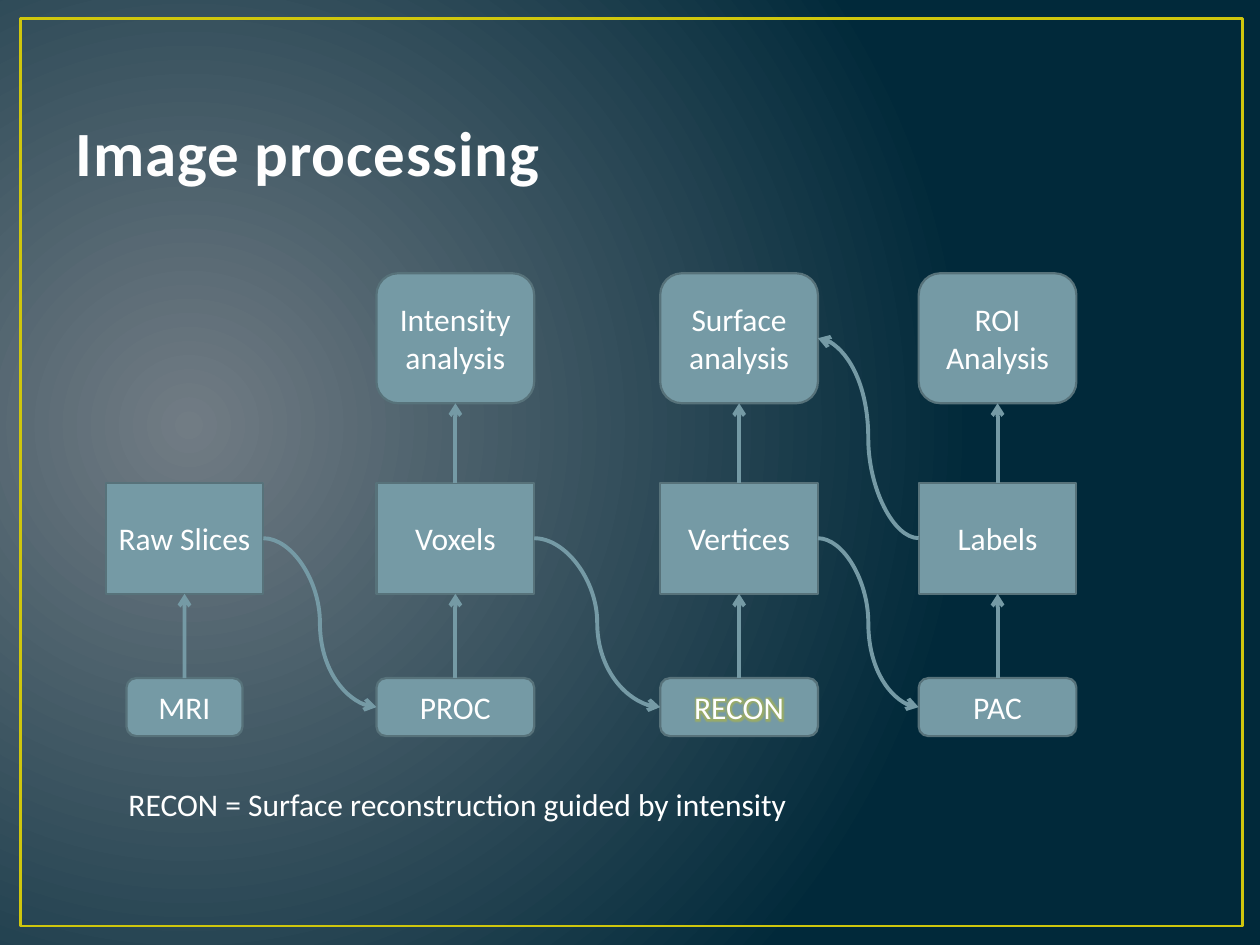
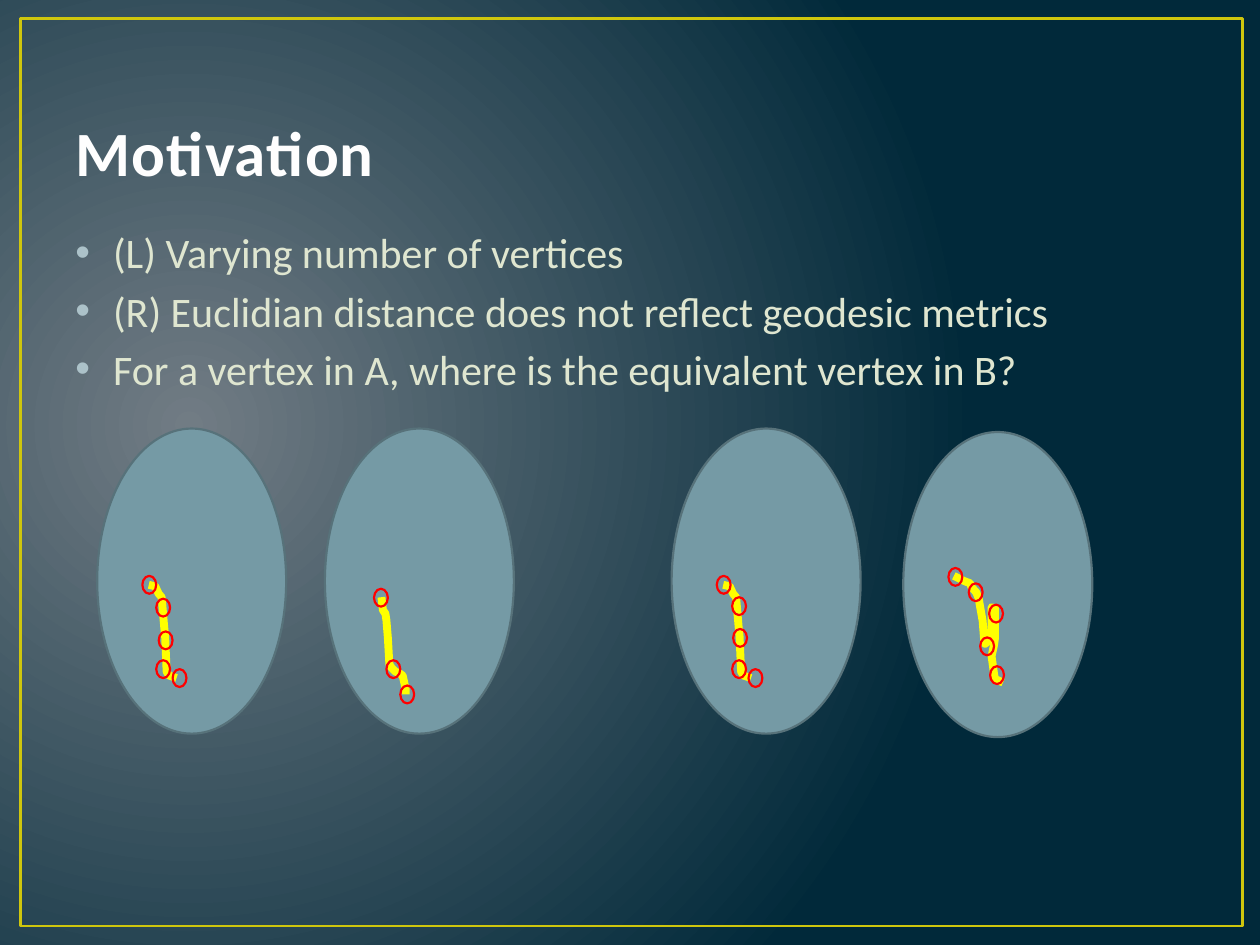
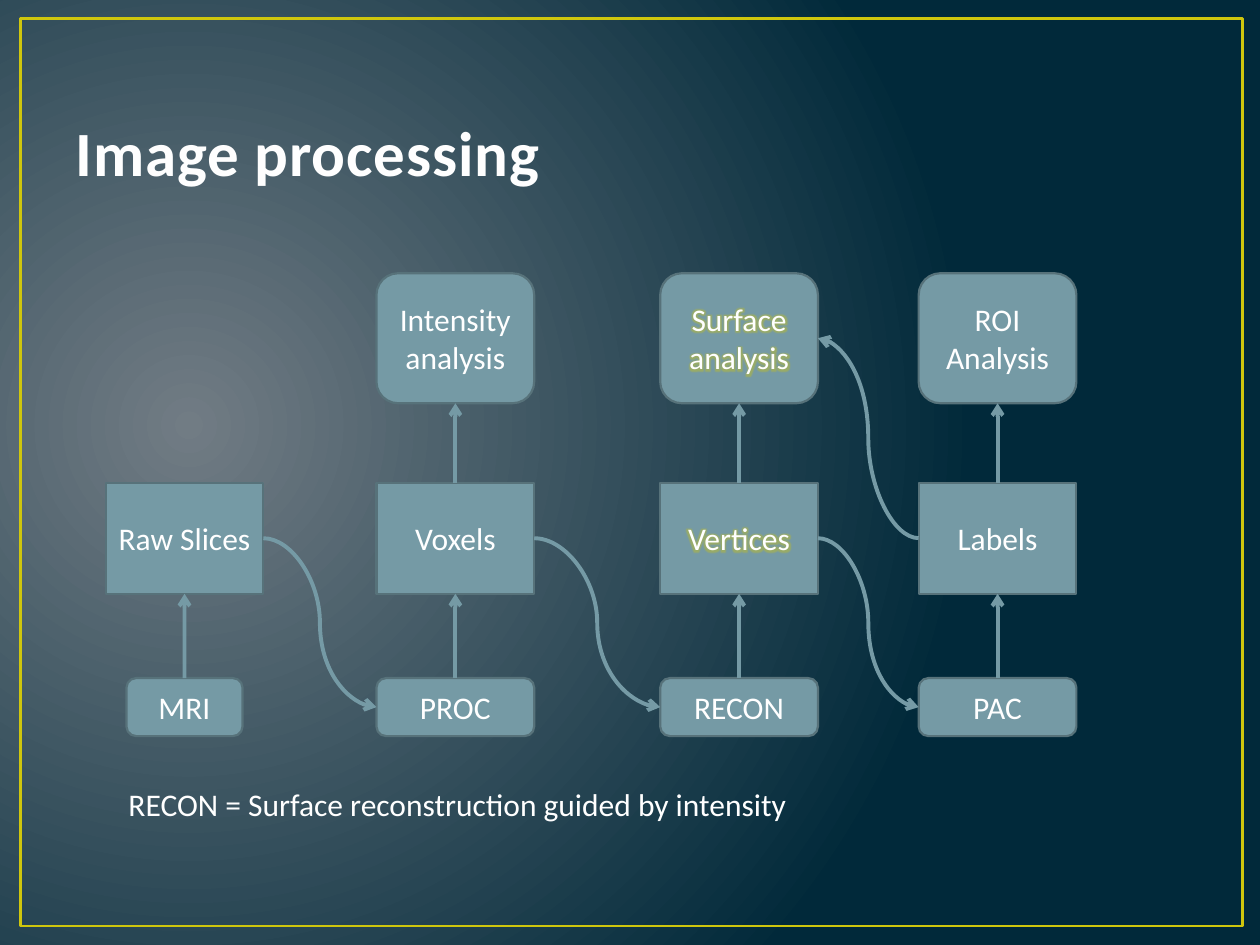
from lxml import etree
from pptx import Presentation
from pptx import util as u
from pptx.dml.color import RGBColor
from pptx.enum import shapes, text
from pptx.oxml.ns import qn

NIGHT = RGBColor(0x01, 0x29, 0x3A)
MIST = RGBColor(0x71, 0x7C, 0x84)
GOLD = RGBColor(0xCF, 0xC6, 0x0D)
STEEL = RGBColor(0x75, 0x9A, 0xA5)
STEEL_EDGE = RGBColor(0x57, 0x72, 0x7A)
TITLE_WHITE = RGBColor(0xFE, 0xFE, 0xFE)
TITLE_EDGE = RGBColor(0x38, 0x4F, 0x55)
WHITE = RGBColor(0xFF, 0xFF, 0xFF)
CREAM = RGBColor(0xDF, 0xE6, 0xD0)
BULLET = RGBColor(0xAC, 0xC2, 0xC9)
YELLOW = RGBColor(0xFF, 0xFF, 0x00)
RED = RGBColor(0xFF, 0x00, 0x00)

RECT = shapes.MSO_SHAPE.RECTANGLE
ROUNDED = shapes.MSO_SHAPE.FLOWCHART_ALTERNATE_PROCESS
OVAL = shapes.MSO_SHAPE.OVAL
STRAIGHT = shapes.MSO_CONNECTOR.STRAIGHT
CURVE = shapes.MSO_CONNECTOR.CURVE
TOP, LEFT, BOTTOM, RIGHT = range(4)

COLUMN_LEFTS = (2.13, 7.59, 13.31, 18.52)
BOX_WIDTH = 3.18
MRI_WIDTH = 2.34
ANALYSIS_ROW, DATA_ROW, TOOL_ROW = (5.51, 2.62), (9.73, 2.24), (13.67, 1.17)
STAGES = (
    ("MRI", "Raw Slices", None),
    ("PROC", "Voxels", "Intensity\nanalysis"),
    ("RECON", "Vertices", "Surface\nanalysis"),
    ("PAC", "Labels", "ROI\nAnalysis"),
)

BRAIN_SIZE = (3.81, 6.15)
RING_SIZE = (0.28, 0.36)
SMOOTH_SULCUS = (
    (1.04, 3.15), (1.17, 3.18), (1.24, 3.33), (1.3, 3.4), (1.35, 3.99),
    (1.37, 4.19), (1.4, 4.9), (1.45, 4.98), (1.6, 5.03))
SHORT_SULCUS = (
    (1.14, 3.4), (1.17, 3.66), (1.22, 3.73), (1.24, 3.86), (1.27, 4.22),
    (1.3, 4.75), (1.35, 4.83), (1.42, 4.9), (1.5, 4.93), (1.57, 4.98),
    (1.63, 5.26), (1.63, 5.36))
FOLDED_SULCUS = (
    (1.02, 2.9), (1.22, 3), (1.27, 3.02), (1.35, 3.05), (1.37, 3.12),
    (1.47, 3.23), (1.52, 3.35), (1.55, 3.53), (1.6, 3.81), (1.63, 4.19),
    (1.65, 4.27), (1.7, 4.22), (1.75, 4.09), (1.78, 4.01), (1.78, 3.53),
    (1.85, 3.56), (1.85, 4.14), (1.83, 4.29), (1.78, 4.52), (1.83, 4.88),
    (1.85, 4.98), (1.9, 5), (2.01, 5.05))
BRAINS = (
    (1.96, 8.64, SMOOTH_SULCUS,
     ((0.91, 2.97), (1.19, 3.43), (1.24, 4.09), (1.19, 4.67), (1.52, 4.85))),
    (6.55, 8.64, SHORT_SULCUS,
     ((0.99, 3.23), (1.24, 4.67), (1.52, 5.18))),
    (13.54, 8.64, SMOOTH_SULCUS,
     ((0.91, 2.97), (1.22, 3.4), (1.24, 4.04), (1.22, 4.67), (1.55, 4.85))),
    (18.21, 8.71, FOLDED_SULCUS,
     ((0.91, 2.74), (1.55, 4.14), (1.73, 3.48), (1.75, 4.72), (1.32, 3.05))),
)


def cm(*values):
    return [u.Cm(value) for value in values]


def add_color(parent, color):
    return etree.SubElement(parent, qn("a:srgbClr"), val=str(color))


class Deck:
    font = "Calibri"

    def __init__(self):
        self.prs = Presentation()
        self.prs.slide_width, self.prs.slide_height = cm(25.4, 19.05)
        self.slide = None
        self.paint_background()

    def paint_background(self):
        master = self.prs.slide_master
        fill = master.background.fill
        fill.gradient()
        for stop, color in zip(fill.gradient_stops, (MIST, NIGHT)):
            stop.color.rgb = color
        gradient = master.element.find(".//" + qn("a:gradFill"))
        gradient.remove(gradient.find(qn("a:lin")))
        circle = etree.SubElement(gradient, qn("a:path"), path="circle")
        etree.SubElement(circle, qn("a:fillToRect"),
                         l="15000", t="50000", r="85000", b="60000")

    def new_slide(self, heading):
        self.slide = self.prs.slides.add_slide(self.prs.slide_layouts[5])
        self.shape(RECT, 0.41, 0.38, 24.64, 18.29, None, GOLD, 1.5)
        title = self.slide.shapes.title
        title.left, title.top, title.width, title.height = cm(1.27, 0.76, 22.86, 3.18)
        title.text_frame.text = heading
        title.text_frame.vertical_anchor = text.MSO_ANCHOR.BOTTOM
        self.style(title.text_frame, 36, TITLE_WHITE, text.PP_ALIGN.LEFT)
        run = title.text_frame.paragraphs[0].runs[0]
        run.font.bold = True
        properties = run.font._element
        properties.set("spc", "50")
        outline = etree.Element(qn("a:ln"), w=str(u.Pt(1.05)))
        add_color(etree.SubElement(outline, qn("a:solidFill")), TITLE_EDGE)
        properties.insert(0, outline)

    def style(self, frame, size, color, align):
        for paragraph in frame.paragraphs:
            paragraph.alignment = align
            for run in paragraph.runs:
                run.font.name = self.font
                run.font.size = u.Pt(size)
                run.font.color.rgb = color

    def outline(self, shape, fill, edge, weight):
        shape.shadow.inherit = False
        if fill is None:
            shape.fill.background()
        else:
            shape.fill.solid()
            shape.fill.fore_color.rgb = fill
        shape.line.color.rgb = edge
        shape.line.width = u.Pt(weight)
        return shape

    def shape(self, preset, left, top, width, height, fill=STEEL, edge=STEEL_EDGE, weight=1.25):
        shape = self.slide.shapes.add_shape(preset, *cm(left, top, width, height))
        return self.outline(shape, fill, edge, weight)

    def box(self, preset, label, left, row, width=BOX_WIDTH, glowing=False):
        top, height = row
        box = self.shape(preset, left, top, width, height)
        frame = box.text_frame
        frame.text = label
        frame.margin_left = frame.margin_right = 0
        frame.vertical_anchor = text.MSO_ANCHOR.MIDDLE
        self.style(frame, 18, WHITE, text.PP_ALIGN.CENTER)
        if glowing:
            self.glow(frame)
        return box

    def glow(self, frame):
        for paragraph in frame.paragraphs:
            for run in paragraph.runs:
                effects = etree.Element(qn("a:effectLst"))
                halo = etree.SubElement(effects, qn("a:glow"), rad=str(u.Pt(5)))
                etree.SubElement(add_color(halo, GOLD), qn("a:alpha"), val="40000")
                run.font._element.find(qn("a:solidFill")).addnext(effects)

    def arrow(self, kind, source, source_site, target, target_site):
        arrow = self.slide.shapes.add_connector(kind, 0, 0, 0, 0)
        arrow.begin_connect(source, source_site)
        arrow.end_connect(target, target_site)
        arrow.line.color.rgb = STEEL
        arrow.line.width = u.Pt(2.25)
        properties = arrow.element.spPr
        etree.SubElement(properties.find(qn("a:ln")), qn("a:tailEnd"), type="arrow")
        etree.SubElement(properties, qn("a:effectLst"))

    def text_box(self, content, left, top, width, height, size, color, wrap=True):
        frame = self.slide.shapes.add_textbox(*cm(left, top, width, height)).text_frame
        frame.word_wrap = wrap
        frame.text = content
        self.style(frame, size, color, text.PP_ALIGN.LEFT)
        return frame

    def bullets(self, items, left, top, width, height):
        frame = self.text_box("\n".join(items), left, top, width, height, 24, CREAM)
        for index, paragraph in enumerate(frame.paragraphs):
            properties = paragraph._p.get_or_add_pPr()
            properties.set("marL", str(u.Cm(0.76)))
            properties.set("indent", str(-u.Cm(0.76)))
            add_color(etree.SubElement(properties, qn("a:buClr")), BULLET)
            etree.SubElement(properties, qn("a:buFont"), typeface="Arial")
            etree.SubElement(properties, qn("a:buChar"), char="•")
            if index:
                paragraph.space_before = u.Pt(4.4)

    def curve(self, points):
        start, *rest = [cm(x, y) for x, y in points]
        builder = self.slide.shapes.build_freeform(*start)
        builder.add_line_segments(rest, close=False)
        self.outline(builder.convert_to_shape(), None, YELLOW, 4.5)

    def brain(self, left, top, sulcus, vertices):
        self.shape(OVAL, left, top, *BRAIN_SIZE)
        self.curve([(left + x, top + y) for x, y in sulcus])
        for x, y in vertices:
            self.shape(OVAL, left + x, top + y, *RING_SIZE, None, RED)

    def pipeline(self, highlighted):
        self.new_slide("Image processing")
        tools, data, analyses = [], [], []
        for left, (tool, product, analysis) in zip(COLUMN_LEFTS, STAGES):
            width = MRI_WIDTH if tool == "MRI" else BOX_WIDTH
            tools.append(self.box(ROUNDED, tool, left + (BOX_WIDTH - width) / 2,
                                  TOOL_ROW, width, tool in highlighted))
            data.append(self.box(RECT, product, left, DATA_ROW,
                                 glowing=product in highlighted))
            self.arrow(STRAIGHT, tools[-1], TOP, data[-1], BOTTOM)
            if analysis:
                analyses.append(self.box(ROUNDED, analysis, left, ANALYSIS_ROW,
                                         glowing=analysis in highlighted))
                self.arrow(STRAIGHT, data[-1], TOP, analyses[-1], BOTTOM)
        for product, next_tool in zip(data, tools[1:]):
            self.arrow(CURVE, product, RIGHT, next_tool, LEFT)
        labels, surface_analysis = data[-1], analyses[1]
        self.arrow(CURVE, labels, LEFT, surface_analysis, RIGHT)
        self.text_box("RECON = Surface reconstruction guided by intensity",
                      2.34, 15.7, 15.47, 1.02, 18, WHITE, wrap=False)

    def motivation(self):
        self.new_slide("Motivation")
        self.bullets(("(L) Varying number of vertices",
                      "(R) Euclidian distance does not reflect geodesic metrics",
                      "For a vertex in A, where is the equivalent vertex in B?"),
                     1.27, 4.45, 22.86, 4.01)
        for brain in BRAINS:
            self.brain(*brain)


def main():
    deck = Deck()
    deck.pipeline({"RECON"})
    deck.motivation()
    deck.pipeline({"Vertices", "Surface\nanalysis"})
    deck.prs.save("out.pptx")


if __name__ == "__main__":
    main()
